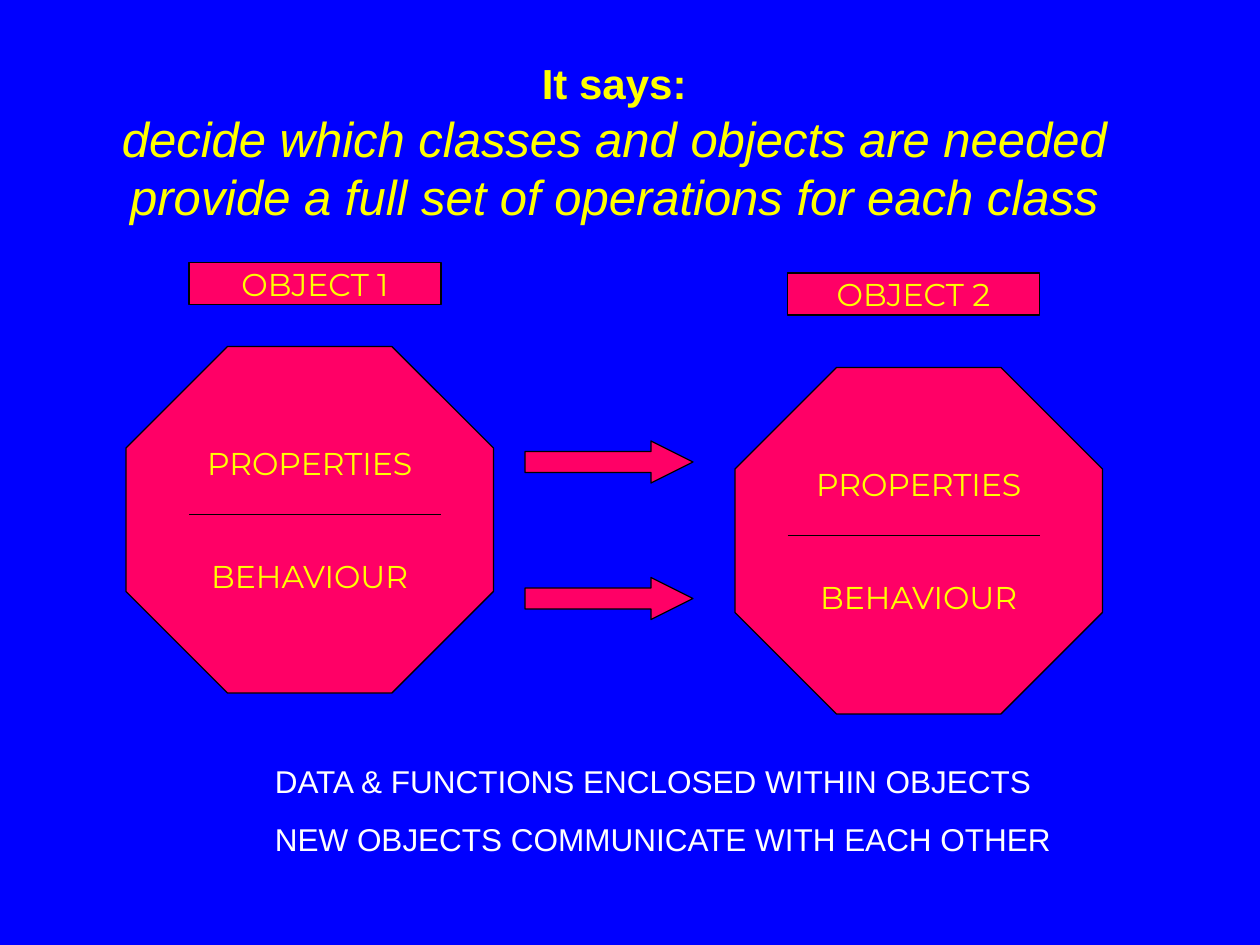
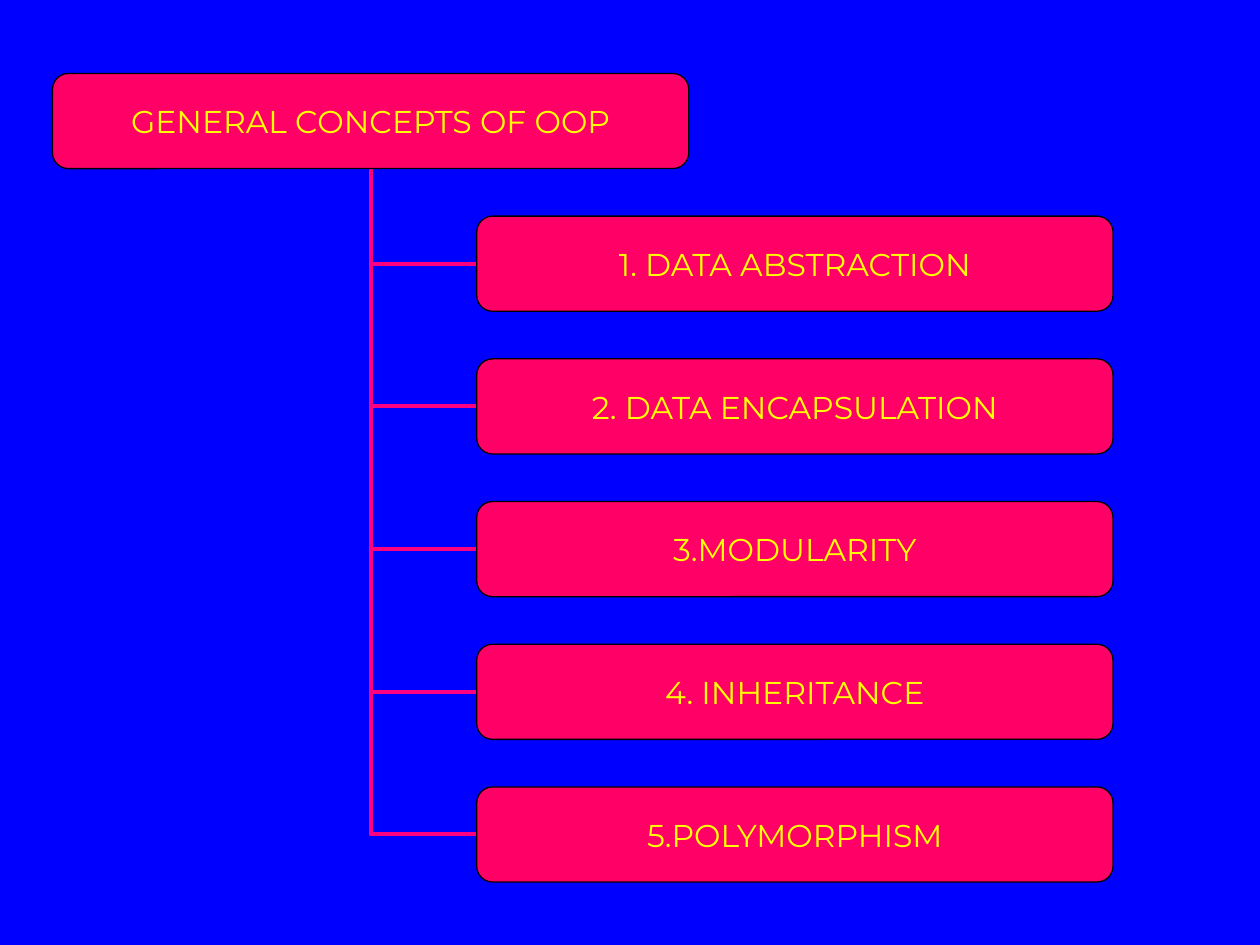
"""Build two slides on object-oriented concepts: communicating objects and a concept tree."""
from typing import NamedTuple

from lxml import etree
from pptx import Presentation
from pptx import util as u
from pptx.dml.color import RGBColor
from pptx.enum import shapes, text
from pptx.oxml.ns import qn

COLUMNS, ROWS = 120, 90
WIDTH, HEIGHT = u.Inches(10), u.Inches(7.5)
BLUE, PINK, MAGENTA = "0000FF", "FF0066", "FE007F"
YELLOW, WHITE, BLACK = "FFFF00", "FFFFFF", "000000"
HEADING_FONT, LABEL_FONT = "Arial", "Montserrat"
LABEL_SIZE = 18
KIND = shapes.MSO_SHAPE


class Area(NamedTuple):
    """A rectangle in grid columns and rows."""
    left: float
    top: float
    width: float
    height: float

    def emu(self) -> tuple:
        """Return the rectangle in slide lengths."""
        return (across(self.left), down(self.top), across(self.width), down(self.height))


class ObjectModel(NamedTuple):
    """An object with its name tag, octagon and divider."""
    name: str
    tag: Area
    body: Area
    divider_row: float


OBJECTS = (
    ObjectModel("OBJECT 1", Area(18, 25, 24, 4), Area(12, 33, 35, 33), 49),
    ObjectModel("OBJECT 2", Area(75, 26, 24, 4), Area(70, 35, 35, 33), 51),
)
MESSAGE_ROWS = (42, 55)
MEMBERS = ("PROPERTIES", "BEHAVIOUR")
MEMBER_GAP = 43
SUMMARY = ("DATA & FUNCTIONS ENCLOSED WITHIN OBJECTS",
           "NEW OBJECTS COMMUNICATE WITH EACH OTHER")
ROOT_CONCEPT = "GENERAL CONCEPTS OF OOP"
ROOT_AREA = Area(5, 7, 60.6, 9.06)
CONCEPTS = ("1. DATA ABSTRACTION", "2. DATA ENCAPSULATION", "3.MODULARITY",
            "4. INHERITANCE", "5.POLYMORPHISM")


def across(columns: float) -> int:
    """Convert grid columns to a slide length."""
    return round(WIDTH * columns / COLUMNS)


def down(rows: float) -> int:
    """Convert grid rows to a slide length."""
    return round(HEIGHT * rows / ROWS)


def paint(target, colour: str) -> None:
    """Give a fill or line a solid colour."""
    fill = getattr(target, "fill", target)
    fill.solid()
    fill.fore_color.rgb = RGBColor.from_string(colour)


def style_font(font, name: str, size: float, colour: str) -> None:
    """Set the face, size and colour of a font."""
    font.name, font.size = name, u.Pt(size)
    font.color.rgb = RGBColor.from_string(colour)


def write(frame, lines: tuple, font: str, colour: str, align, gap: float = 0) -> None:
    """Write one paragraph per line, with a gap between them."""
    for index, line in enumerate(lines):
        para = frame.add_paragraph() if index else frame.paragraphs[0]
        para.text, para.alignment = line, align
        if index:
            para.space_before = u.Pt(gap)
        style_font(para.font, font, LABEL_SIZE, colour)


def add_box(page, kind, area: Area, lines: tuple = (), gap: float = 0, adjust: tuple = ()):
    """Draw a pink outlined shape with centred yellow labels."""
    box = page.shapes.add_shape(kind, *area.emu())
    box.shadow.inherit = False
    paint(box.fill, PINK)
    paint(box.line, BLACK)
    box.line.width = u.Pt(0.75)
    for index, value in enumerate(adjust):
        box.adjustments[index] = value
    frame = box.text_frame
    frame.word_wrap = False
    frame.vertical_anchor = text.MSO_ANCHOR.MIDDLE
    write(frame, lines, LABEL_FONT, YELLOW, text.PP_ALIGN.CENTER, gap)
    return box


def add_line(page, kind, start: tuple, end: tuple, colour: str, weight: float):
    """Draw a connector between two grid points."""
    line = page.shapes.add_connector(kind, across(start[0]), down(start[1]),
                                     across(end[0]), down(end[1]))
    paint(line.line, colour)
    line.line.width = u.Pt(weight)
    etree.SubElement(line._element.spPr, qn("a:effectLst"))
    return line


def add_title(page) -> None:
    """Place the heading and its two italic statements."""
    title = page.shapes.title
    title.left, title.top, title.width, title.height = Area(5, 3, 107, 21).emu()
    title.text_frame.vertical_anchor = text.MSO_ANCHOR.MIDDLE
    para = title.text_frame.paragraphs[0]
    para.text = ("It says:\vdecide which classes and objects are needed"
                 "\vprovide a full set of operations for each class")
    para.alignment = text.PP_ALIGN.CENTER
    style_font(para.font, HEADING_FONT, 28, YELLOW)
    for index, span in enumerate(para.runs):
        span.font.size = u.Pt(28 if index else 24)
        span.font.bold, span.font.italic = index == 0, index > 0


def build_objects(deck) -> None:
    """Show two objects exchanging messages."""
    page = deck.slides.add_slide(deck.slide_layouts[5])
    add_title(page)
    for model in OBJECTS:
        add_box(page, KIND.OCTAGON, model.body, MEMBERS, MEMBER_GAP, (0.293,))
        add_box(page, KIND.RECTANGLE, model.tag, (model.name,))
        left, right = model.tag.left, model.tag.left + model.tag.width
        add_line(page, shapes.MSO_CONNECTOR.STRAIGHT, (left, model.divider_row),
                 (right, model.divider_row), BLACK, 0.75)
    for row in MESSAGE_ROWS:
        add_box(page, KIND.RIGHT_ARROW, Area(50, row, 16, 4), adjust=(0.5, 1))
    summary = page.shapes.add_textbox(*Area(25, 72, 83, 10.3).emu())
    summary.text_frame.word_wrap = True
    write(summary.text_frame, SUMMARY, HEADING_FONT, WHITE, text.PP_ALIGN.LEFT, 11.2)


def add_concept(page, area: Area, label: str):
    """Draw one rounded concept box without margins."""
    box = add_box(page, KIND.ROUNDED_RECTANGLE, area, (label,), adjust=(0.167,))
    frame = box.text_frame
    frame.margin_left = frame.margin_right = frame.margin_top = frame.margin_bottom = 0
    return box


def build_concepts(deck) -> None:
    """Show the concept tree under its root box."""
    page = deck.slides.add_slide(deck.slide_layouts[6])
    root = add_concept(page, ROOT_AREA, ROOT_CONCEPT)
    left, top, width, height = ROOT_AREA
    trunk = (left + width / 2, top + height)
    for level, label in enumerate(CONCEPTS, 1):
        area = Area(left + width * 2 / 3, top + height * 1.5 * level, width, height)
        child = add_concept(page, area, label)
        branch = add_line(page, shapes.MSO_CONNECTOR.ELBOW,
                          (area.left, area.top + height / 2), trunk, MAGENTA, 2.25)
        branch._element.spPr.find(qn("a:prstGeom")).set("prst", "bentConnector2")
        branch.begin_connect(child, 1)
        branch.end_connect(root, 2)
        root._element.addprevious(branch._element)


def main() -> None:
    """Build and save the deck."""
    deck = Presentation()
    deck.slide_width, deck.slide_height = WIDTH, HEIGHT
    paint(deck.slide_master.background, BLUE)
    build_objects(deck)
    build_concepts(deck)
    deck.save("out.pptx")


if __name__ == "__main__":
    main()
